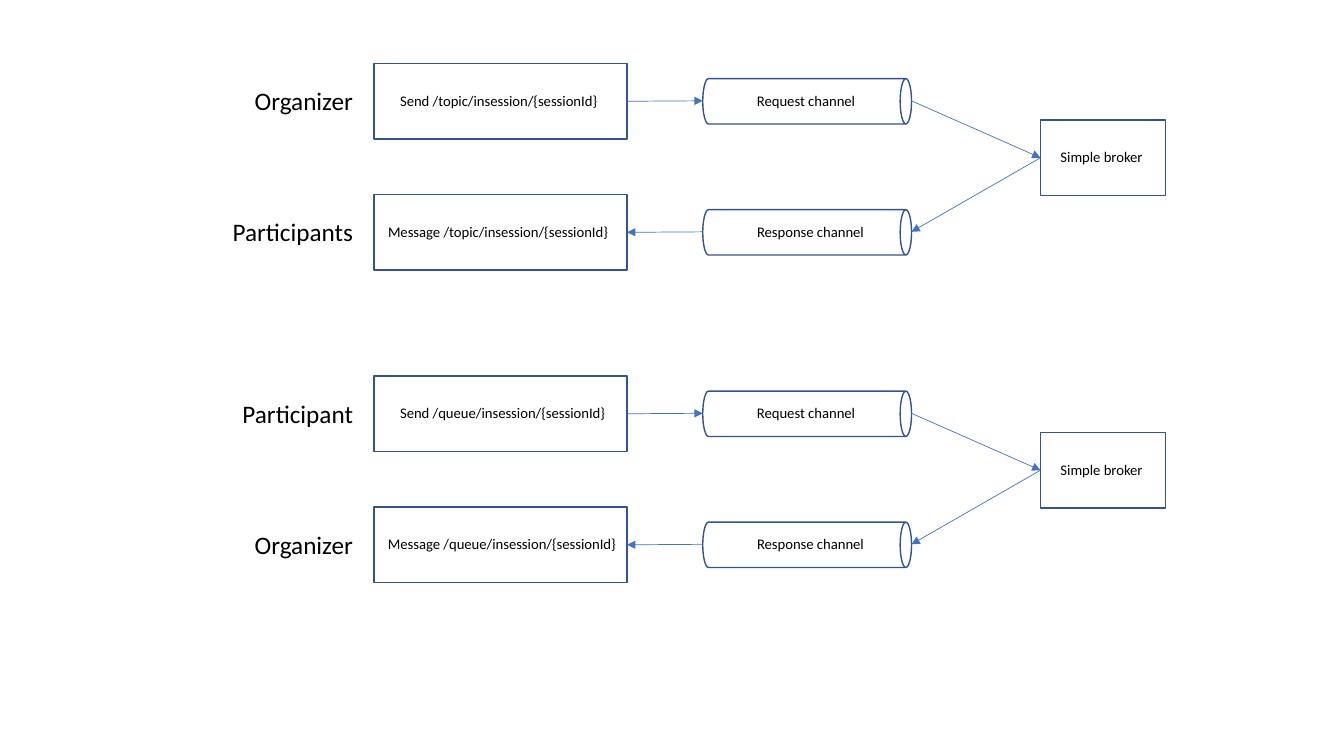
from lxml import etree
from pptx import Presentation
from pptx.dml.color import RGBColor
from pptx.enum.shapes import MSO_CONNECTOR as LINE, MSO_SHAPE as SHAPE
from pptx.enum.text import MSO_AUTO_SIZE as AUTO, PP_ALIGN as ALIGN
from pptx.oxml.ns import qn
from pptx.util import Pt

PX = 9144
COLORS = {"outline": "325491", "arrow": "4472C4", "text": "000000"}
FLOWS = [
    (63, "topic", ("Organizer", 119), ("Participants", 141), 218, 242),
    (373, "queue", ("Participant", 131), ("Organizer", 119), 226, 250),
]
ROW_STEP = 130
BOX_X, BOX_W, BOX_H = 371, 251, 75
CAN_X, CAN_W, CAN_H = 697, 207, 45
BROKER_X, BROKER_W, BROKER_DY = 1032, 124, 56
LABEL_RIGHT = 360


def rgb(name):
    return RGBColor.from_string(COLORS[name])


class Diagram:
    """Draws message flow elements on one slide in a shared style."""

    def __init__(self, slide, font="Calibri"):
        self.shapes = slide.shapes
        self.font = font

    def text(self, text, x, y, w, h=28, size=10.5, align=ALIGN.LEFT, parent=None):
        box = (parent or self).shapes.add_textbox(x * PX, y * PX, w * PX, h * PX)
        tf = box.text_frame
        tf.word_wrap = False
        tf.auto_size = AUTO.SHAPE_TO_FIT_TEXT
        p = tf.paragraphs[0]
        p.alignment = align
        r = p.add_run()
        r.text = text
        r.font.name, r.font.size = self.font, Pt(size)
        r.font.color.rgb = rgb("text")

    def outline(self, kind, x, y, w, h, parent=None):
        sp = (parent or self).shapes.add_shape(kind, x * PX, y * PX, w * PX, h * PX)
        sp.shadow.inherit = False
        sp.fill.background()
        sp.line.color.rgb = rgb("outline")
        sp.line.width = Pt(1)
        return sp

    def box(self, text, x, y, w, text_x, text_w):
        group = self.shapes.add_group_shape()
        sp = self.outline(SHAPE.RECTANGLE, x, y, w, BOX_H, group)
        self.text(text, text_x, y + 23, text_w, parent=group)
        return sp

    def channel(self, text, mid, text_w):
        x = CAN_X + (CAN_W - CAN_H) // 2
        can = self.outline(SHAPE.CAN, x, mid - CAN_W // 2, CAN_H, CAN_W)
        can.rotation = 90
        self.text(text, 741, mid - 14, text_w)

    def arrow(self, start, end, begin=None, finish=None):
        x1, y1, x2, y2 = (v * PX for v in start + end)
        c = self.shapes.add_connector(LINE.STRAIGHT, x1, y1, x2, y2)
        if begin:
            c.begin_connect(*begin)
        if finish:
            c.end_connect(*finish)
        c.line.color.rgb = rgb("arrow")
        c.line.width = Pt(0.5)
        etree.SubElement(c.line._get_or_add_ln(), qn("a:tailEnd"), type="triangle")
        etree.SubElement(c._element.spPr, qn("a:effectLst"))

    def label(self, text, y, w):
        self.text(text, LABEL_RIGHT - w, y, w, 40, size=18, align=ALIGN.RIGHT)

    def flow(self, top, kind, sender, receiver, send_w, message_w):
        low = top + ROW_STEP
        mid, low_mid = top + 37, low + 37
        broker_mid = mid + BROKER_DY
        box_right, can_right = BOX_X + BOX_W, CAN_X + CAN_W
        target = f"/{kind}/insession/{{sessionId}}"

        send = self.box(f"Send {target}", BOX_X, top, BOX_W, 387, send_w)
        self.channel("Request channel", mid, 120)
        self.arrow((box_right, mid), (CAN_X, mid), begin=(send, 3))
        broker = self.box("Simple broker", BROKER_X, top + BROKER_DY, BROKER_W, 1042, 104)
        message = self.box(f"Message {target}", BOX_X, low, BOX_W, 375, message_w)
        self.channel("Response channel", low_mid, 128)
        self.arrow((CAN_X, low_mid), (box_right, low_mid), finish=(message, 3))
        self.arrow((can_right, mid), (BROKER_X, broker_mid), finish=(broker, 1))
        self.arrow((BROKER_X, broker_mid), (can_right, low_mid), begin=(broker, 1))
        for y, (name, w) in ((top, sender), (low, receiver)):
            self.label(name, y + 17, w)


def main():
    prs = Presentation()
    prs.slide_width, prs.slide_height = 1333 * PX, 750 * PX
    s = prs.slides.add_slide(prs.slide_layouts[6])
    diagram = Diagram(s)
    for flow in FLOWS:
        diagram.flow(*flow)
    prs.save("out.pptx")


if __name__ == "__main__":
    main()
